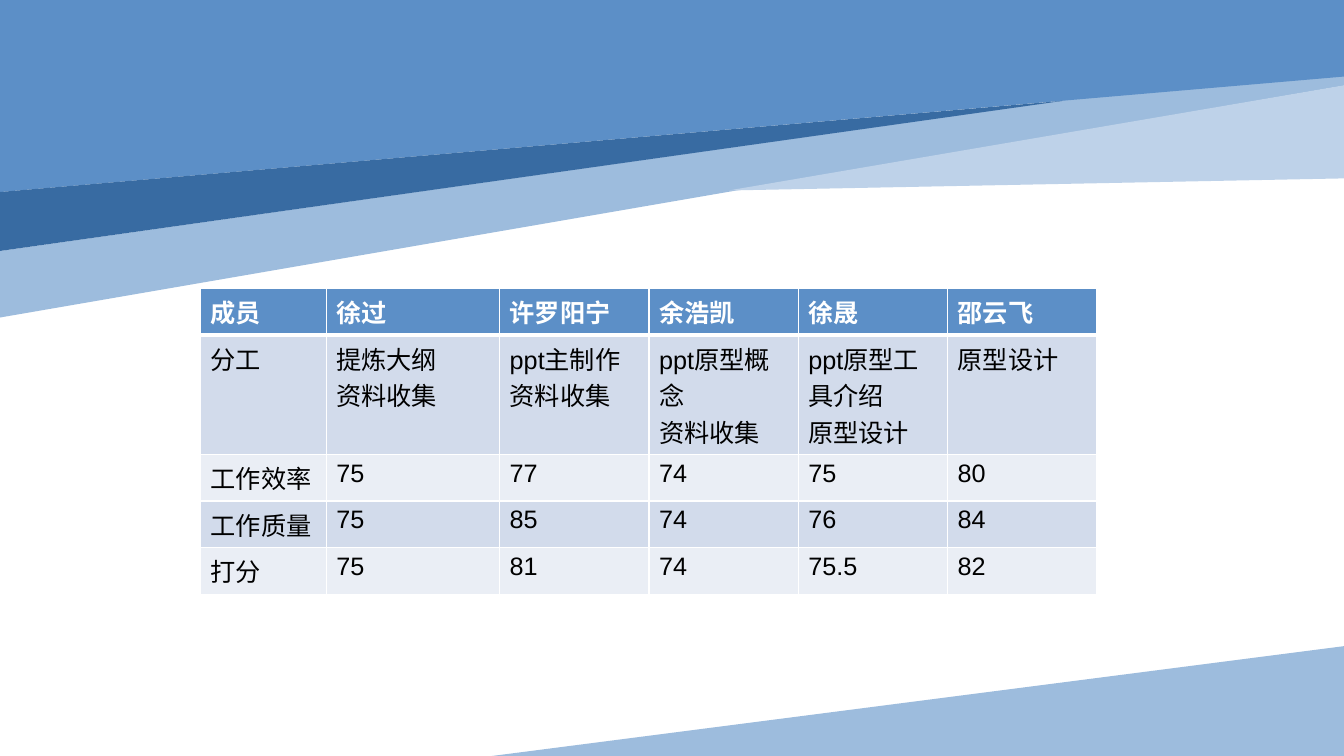
from lxml.etree import SubElement
from pptx import Presentation
from pptx.dml.color import RGBColor
from pptx.enum.shapes import MSO_SHAPE
from pptx.oxml.ns import qn
from pptx.util import Inches, Pt

W, H = Inches(13.33), Inches(7.5)
FONT = "Arial"
COLORS = {
    "main": "5C8FC7", "dark": "386BA2", "light": "9DBCDD", "pale": "BED2E9",
    "band": "D2DBEB", "plain": "EAEEF5", "white": "FFFFFF", "text": "000000",
}
# Corner points in percent of the slide's width and height, back to front
BANDS = [
    ("light", [(0, 33.2), (100, 8), (100, 11.33), (0, 42)]),
    ("main", [(0, 0), (100, 0), (100, 10.13), (0, 25.4)]),
    ("dark", [(0, 25.4), (79.13, 13.33), (0, 33.2)]),
    ("pale", [(100, 11.3), (100, 23.6), (54.2, 25.2)]),
]
COL_WIDTHS = [9.35, 12.9] + [11.11] * 4
ROW_HEIGHT = 5.47
ROWS = [
    ["成员", "徐过", "许罗阳宁", "余浩凯", "徐晟", "邵云飞"],
    ["分工", "提炼大纲\n资料收集", "ppt主制作\n资料收集",
     "ppt原型概念\n资料收集", "ppt原型工具介绍\n原型设计", "原型设计"],
    ["工作效率", "75", "77", "74", "75", "80"],
    ["工作质量", "75", "85", "74", "76", "84"],
    ["打分", "75", "81", "74", "75.5", "82"],
]


def px(share):
    return round(W * share / 100)


def py(share):
    return round(H * share / 100)


def rgb(name):
    return RGBColor.from_string(COLORS[name])


def paint(sp, color):
    sp.shadow.inherit = False
    sp.fill.solid()
    sp.fill.fore_color.rgb = rgb(color)
    sp.line.fill.background()


def add_band(s, color, points):
    start, *rest = [(px(x), py(y)) for x, y in points]
    builder = s.shapes.build_freeform(*start)
    builder.add_line_segments(rest, close=True)
    paint(builder.convert_to_shape(), color)


def add_corner_wedge(s):
    """Right triangle lying along the bottom edge, turned to rise to the right."""
    width, height = px(63.4), py(14.53)
    left = W - (width + height) // 2
    top = H - (width + height) // 2
    sp = s.shapes.add_shape(MSO_SHAPE.ISOSCELES_TRIANGLE, left, top, height, width)
    sp.adjustments[0] = 0
    sp.rotation = 270
    paint(sp, "light")


def set_borders(cell, top, bottom):
    tc_pr = cell._tc.get_or_add_tcPr()
    for side, width in (("L", 1), ("R", 1), ("T", top), ("B", bottom)):
        ln = SubElement(tc_pr, qn(f"a:ln{side}"), w=str(Pt(width)))
        fill = SubElement(ln, qn("a:solidFill"))
        SubElement(fill, qn("a:srgbClr"), val=COLORS["white"])


def fill_cell(cell, text, row):
    header = row == 0
    set_borders(cell, top=3 if row == 1 else 1, bottom=3 if header else 1)
    cell.fill.solid()
    cell.fill.fore_color.rgb = rgb("main" if header else "band" if row % 2 else "plain")
    cell.text_frame.text = text
    for p in cell.text_frame.paragraphs:
        for r in p.runs:
            r.font.name = FONT
            r.font.size = Pt(18)
            r.font.bold = header
            r.font.color.rgb = rgb("white" if header else "text")


def add_score_table(s):
    frame = s.shapes.add_table(
        len(ROWS), len(COL_WIDTHS), px(14.93), py(38.13),
        px(sum(COL_WIDTHS)), py(ROW_HEIGHT * len(ROWS)))
    table = frame.table
    for col, width in zip(table.columns, COL_WIDTHS):
        col.width = px(width)
    for i, texts in enumerate(ROWS):
        table.rows[i].height = py(ROW_HEIGHT)
        for j, text in enumerate(texts):
            fill_cell(table.cell(i, j), text, i)


def main():
    prs = Presentation()
    prs.slide_width, prs.slide_height = W, H
    s = prs.slides.add_slide(prs.slide_layouts[6])
    for color, points in BANDS:
        add_band(s, color, points)
    add_corner_wedge(s)
    add_score_table(s)
    prs.save("out.pptx")


if __name__ == "__main__":
    main()
